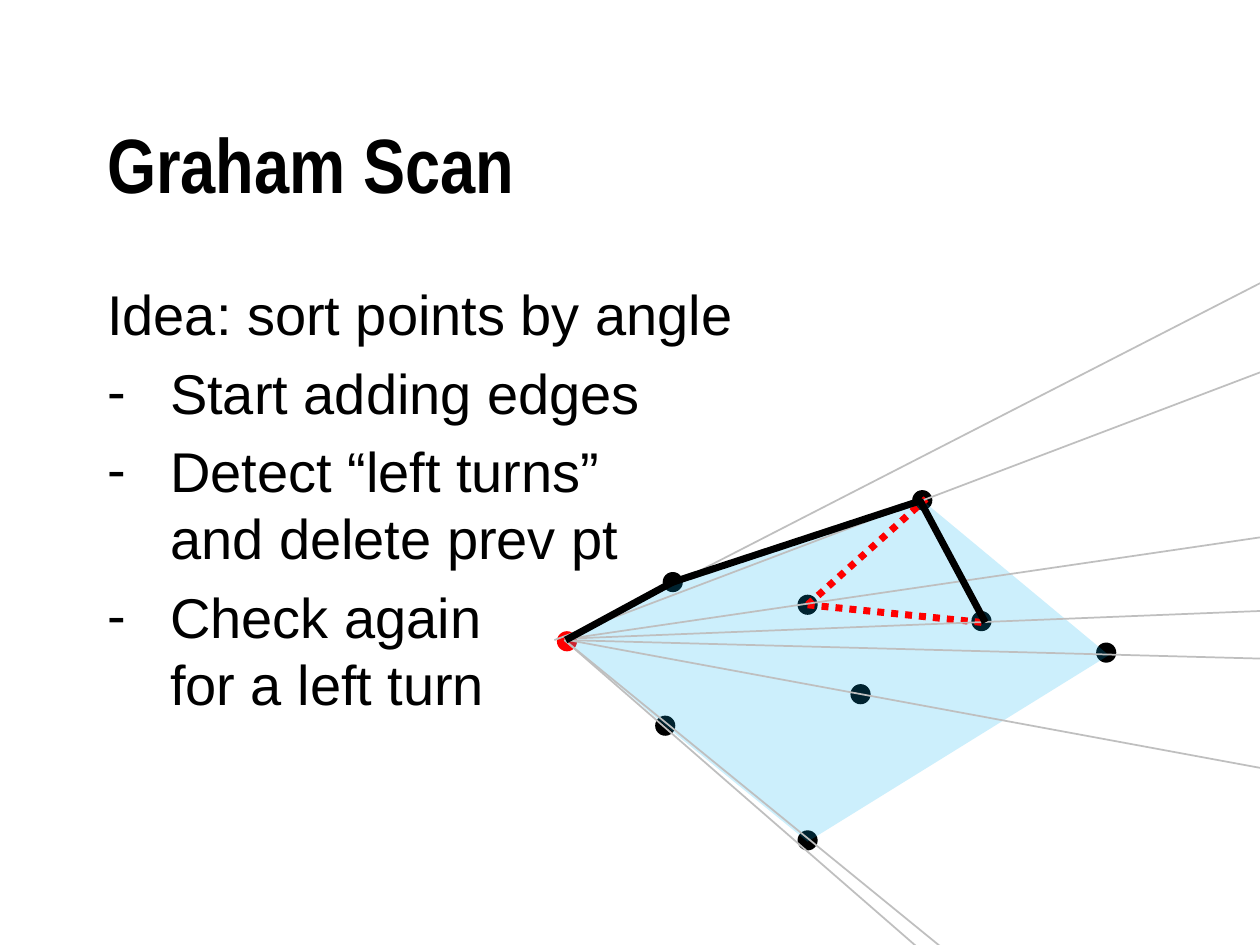
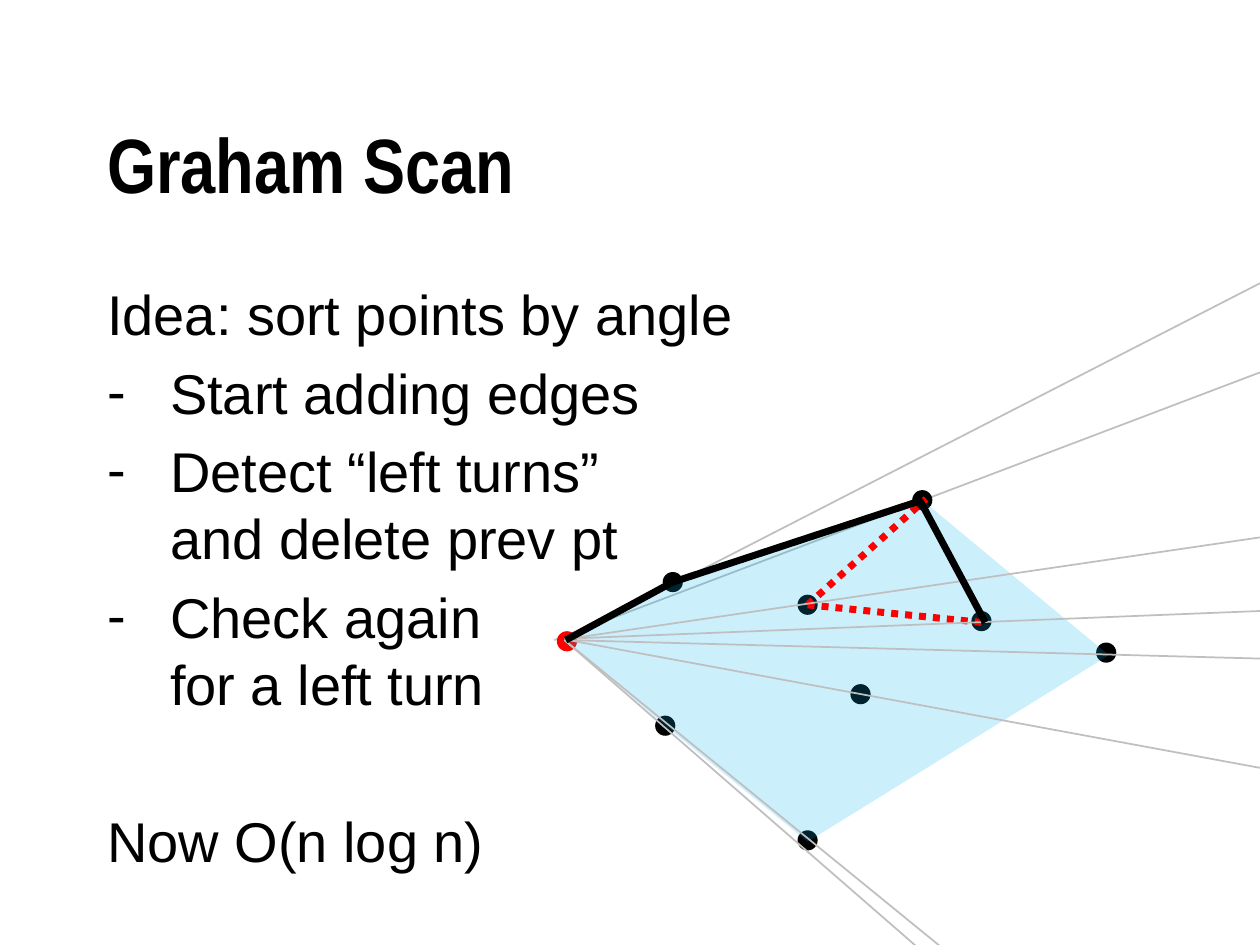
from pptx import Presentation
from pptx import util as u
from pptx.dml.color import RGBColor
from pptx.enum import dml, shapes, text
from pptx.oxml import ns
from lxml import etree

COLORS = {"ink": "000000", "start": "FF0000", "dropped": "FF0000",
          "hull": "00B0F0", "ray": "BFBFBF"}
TITLE = "Graham Scan"
STEPS = [  # text, dash bullet, space before in points
    ("Idea: sort points by angle", False, 0),
    ("Start adding edges", True, 6.4),
    ("Detect “left turns”\nand delete prev pt", True, 6.4),
    ("Check again\nfor a left turn", True, 6.4),
]
RESULT = ("Now O(n log n)", False, 51.3)

# Figure geometry in inches
DOT = 0.16
HULL_ALPHA = 20
START = (4.5, 5.09)
POINTS = [(5.28, 5.76), (5.34, 4.62), (7.32, 3.97), (6.41, 6.67),
          (8.78, 5.18), (6.41, 4.8), (6.83, 5.51), (7.79, 4.93)]
HULL = [(4.49, 5.08), (5.28, 5.76), (6.41, 6.68),
        (8.8, 5.2), (7.32, 3.97), (5.34, 4.62)]
DROPPED_EDGES = [((6.41, 4.8), (7.35, 3.96)), ((6.41, 4.8), (7.79, 4.94))]
KEPT_EDGES = [((4.49, 5.08), (5.34, 4.62)), ((5.28, 4.64), (7.32, 3.97)),
              ((7.3, 3.97), (7.82, 4.94))]
LOWER_RAYS = [((4.48, 5.08), (7.87, 8.03)), ((4.48, 5.08), (8.1, 8.03)),
              ((4.51, 5.08), (10.41, 6.17)), ((4.49, 5.08), (11.24, 5.26)),
              ((4.48, 5.07), (11.23, 4.8)), ((4.51, 5.07), (10.65, 4.17))]
UPPER_RAYS = [((4.4, 5.08), (11.86, 2.25)), ((4.5, 5.07), (11.75, 1.35))]


def rgb(name):
    return RGBColor.from_string(COLORS[name])


def paint(sp, color):
    sp.shadow.inherit = False
    sp.fill.solid()
    sp.fill.fore_color.rgb = rgb(color)
    sp.line.fill.background()


def add_dot(parent, center, color):
    x, y = center
    sp = parent.add_shape(shapes.MSO_SHAPE.OVAL, u.Inches(x - DOT / 2),
                          u.Inches(y - DOT / 2), u.Inches(DOT), u.Inches(DOT))
    paint(sp, color)


def add_hull(parent):
    corners = [(u.Inches(x), u.Inches(y)) for x, y in HULL]
    builder = parent.build_freeform(*corners[0])
    builder.add_line_segments(corners[1:], close=True)
    sp = builder.convert_to_shape()
    paint(sp, "hull")
    clr = sp.fill._xPr.find(".//" + ns.qn("a:srgbClr"))
    etree.SubElement(clr, ns.qn("a:alpha"), val=str(HULL_ALPHA * 1000))


def add_lines(parent, segments, color, width, dash=None):
    for start, end in segments:
        line = parent.add_connector(shapes.MSO_CONNECTOR.STRAIGHT,
                                    *map(u.Inches, start + end))
        line.line.color.rgb = rgb(color)
        line.line.width = u.Pt(width)
        if dash:
            line.line.dash_style = dash
        etree.SubElement(line._element.spPr, ns.qn("a:effectLst"))


def add_points_and_hull(parent):
    for point in POINTS:
        add_dot(parent, point, "ink")
    add_dot(parent, START, "start")
    add_hull(parent)


def add_dropped(parent):
    add_lines(parent, DROPPED_EDGES, "dropped", 4, dml.MSO_LINE.ROUND_DOT)


def place(sp, left, top, width, height):
    sp.left, sp.top, sp.width, sp.height = map(
        u.Inches, (left, top, width, height))
    sp.text_frame.word_wrap = True
    sp.text_frame.auto_size = text.MSO_AUTO_SIZE.NONE
    return sp.text_frame


def add_run(p, words, size, font, bold):
    r = p.add_run()
    r.text = words
    r.font.size = u.Pt(size)
    r.font.name = font
    r.font.bold = bold
    r.font.color.rgb = rgb("ink")


def set_bullet(p, dashed):
    pPr = p._p.get_or_add_pPr()
    indent = u.Inches(0.5 if dashed else 0)
    pPr.set("marL", str(indent))
    pPr.set("indent", str(-indent))
    if dashed:
        etree.SubElement(pPr, ns.qn("a:buFont"), typeface="Arial")
        etree.SubElement(pPr, ns.qn("a:buChar"), char="-")
    else:
        etree.SubElement(pPr, ns.qn("a:buNone"))


def add_text_slide(prs, steps):
    s = prs.slides.add_slide(prs.slide_layouts[1])
    title, body = s.placeholders
    tf = place(title, 0.75, 0.67, 8.5, 1.25)
    tf.vertical_anchor = text.MSO_ANCHOR.MIDDLE
    p = tf.paragraphs[0]
    p.alignment = text.PP_ALIGN.LEFT
    add_run(p, TITLE, 44, "Arial Narrow", True)

    tf = place(body, 0.75, 2.17, 8.5, 4.5)
    for i, (words, dashed, before) in enumerate(steps):
        p = tf.add_paragraph() if i else tf.paragraphs[0]
        p.space_before = u.Pt(before)
        p.line_spacing = u.Pt(38.4)
        set_bullet(p, dashed)
        for j, row in enumerate(words.split("\n")):
            if j:
                p.add_line_break()
            add_run(p, row, 32, "Arial", False)
    return s


def main():
    prs = Presentation()
    prs.slide_width, prs.slide_height = u.Inches(10), u.Inches(7.5)

    s = add_text_slide(prs, STEPS)
    add_points_and_hull(s.shapes.add_group_shape().shapes)
    add_dropped(s.shapes)
    add_lines(s.shapes, LOWER_RAYS + UPPER_RAYS, "ray", 1)
    add_lines(s.shapes, KEPT_EDGES, "ink", 4)

    s = add_text_slide(prs, STEPS + [RESULT])
    add_lines(s.shapes, UPPER_RAYS, "ray", 1)
    figure = s.shapes.add_group_shape().shapes
    add_points_and_hull(figure)
    add_dropped(figure)
    add_lines(figure, LOWER_RAYS, "ray", 1)
    add_lines(figure, KEPT_EDGES, "ink", 4)

    prs.save("out.pptx")


if __name__ == "__main__":
    main()
